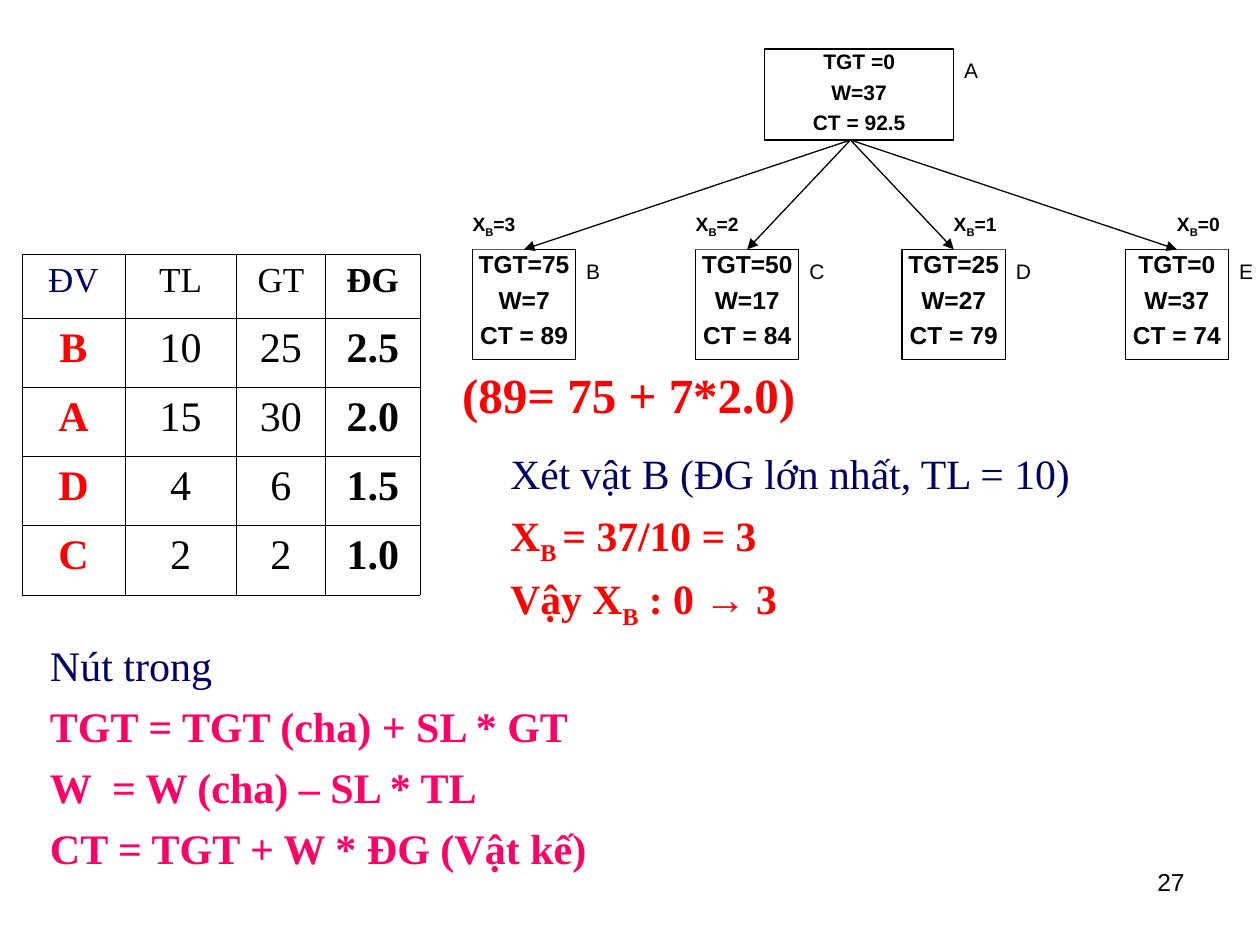
from lxml.etree import SubElement
from pptx import Presentation
from pptx.dml.color import RGBColor
from pptx.enum.shapes import MSO_CONNECTOR, MSO_SHAPE
from pptx.enum.text import MSO_ANCHOR, PP_ALIGN
from pptx.oxml import parse_xml
from pptx.oxml.ns import nsdecls, qn
from pptx.util import Pt

COLORS = {"black": "000000", "white": "FFFFFF", "navy": "000066",
          "red": "FF0000", "pink": "FF0066"}
SANS, SERIF = "Arial", "Times New Roman"

ROOT = ("A", ["TGT =0", "W=37", "CT = 92.5"])
ROOT_BOX = (437, 28, 108, 52)
BRANCH_START = (486, 80)
CHILDREN = [
    ("B", "=3", ["TGT=75", "W=7", "CT = 89"], 270, 0),
    ("C", "=2", ["TGT=50", "W=17", "CT = 84"], 397.5, 0),
    ("D", "=1", ["TGT=25", "W=27", "CT = 79"], 515.5, 29.5),
    ("E", "=0", ["TGT=0", "W=37", "CT = 74"], 643, 29.5),
]
CHILD_TOP, CHILD_W, CHILD_H = 142.5, 59, 63

ITEMS = [
    ["ĐV", "TL", "GT", "ĐG"],
    ["B", "10", "25", "2.5"],
    ["A", "15", "30", "2.0"],
    ["D", "4", "6", "1.5"],
    ["C", "2", "2", "1.0"],
]
COLUMN_WIDTHS = [59, 63.5, 51, 54]
ROW_HEIGHTS = [36.5] + [39.5] * 4

NAVY = {"color": "navy"}
RED = {"color": "red", "bold": True}
RED_SUB = {**RED, "sub": True}
PINK = {"color": "pink", "bold": True}
NOTES = [
    ((516, 492, 168, 37), {"size": 14, "font": SANS, "align": PP_ALIGN.RIGHT},
     [[("27", {})]]),
    ((21.5, 362, 338.5, 148.5), {"size": 24, "font": SERIF, "before": 6},
     [[("Nút trong", NAVY)],
      [("TGT = TGT (cha) + SL * GT", PINK)],
      [("W  = W (cha) – SL * TL", PINK)],
      [("CT = TGT + W * ÐG (Vật kế)", PINK)]]),
    ((284.5, 255.5, 399.5, 118),
     {"size": 23.8, "font": SERIF, "before": 7, "line": 0.9},
     [[("Xét vật B (ĐG lớn nhất, TL = 10)", NAVY)],
      [("X", RED), ("B ", RED_SUB), ("= 37/10 = 3", RED)],
      [("Vậy X", RED), ("B", RED_SUB), (" : 0 ", RED),
       ("→", {**RED, "font": SANS}), (" 3", RED)]]),
    ((257, 205, 399.5, 118), {"size": 28, "font": SERIF},
     [[("(89= 75 + 7*2.0)", RED)]]),
]


def rgb(name):
    return RGBColor.from_string(COLORS[name])


def write(frame, lines, size, font, align=PP_ALIGN.LEFT, before=0, line=None):
    frame.word_wrap = True
    for i, runs in enumerate(lines):
        paragraph = frame.add_paragraph() if i else frame.paragraphs[0]
        paragraph.alignment = align
        if i:
            paragraph.space_before = Pt(before)
        if line:
            paragraph.line_spacing = line
        for text, style in runs:
            run = paragraph.add_run()
            run.text = text
            run.font.size = Pt(size)
            run.font.name = style.get("font", font)
            run.font.bold = style.get("bold", False)
            run.font.color.rgb = rgb(style.get("color", "black"))
            if style.get("sub"):
                run._r.get_or_add_rPr().set("baseline", "-25000")


def add_box(box, lines, size, outlined=False, **layout):
    rect = slide.shapes.add_shape(MSO_SHAPE.RECTANGLE, *map(Pt, box))
    rect.shadow.inherit = False
    rect.fill.solid()
    rect.fill.fore_color.rgb = rgb("white")
    if outlined:
        rect.line.color.rgb = rgb("black")
        rect.line.width = Pt(0.75)
    else:
        rect.line.fill.background()
    frame = rect.text_frame
    frame.margin_left = frame.margin_right = 0
    frame.margin_top = frame.margin_bottom = 0
    frame.vertical_anchor = MSO_ANCHOR.TOP
    write(frame, lines, size, SANS, **layout)
    return rect


def add_node(box, name, values, size, before, label_drop):
    left, top, width, height = box
    lines = [[(value, {"bold": True})] for value in values]
    node = add_box(box, lines, size, True, align=PP_ALIGN.CENTER, before=before)
    add_box((left + width + 6, top + label_drop, 10, 21), [[(name, {})]], 12)
    return node


def add_branch(child, center):
    branch = slide.shapes.add_connector(
        MSO_CONNECTOR.STRAIGHT, *map(Pt, (*BRANCH_START, center, CHILD_TOP)))
    branch.end_connect(child, 0)
    branch.line.color.rgb = rgb("black")
    branch.line.width = Pt(0.75)
    SubElement(branch.line._get_or_add_ln(), qn("a:tailEnd"), type="triangle")
    SubElement(branch._element.spPr, qn("a:effectLst"))


def add_borders(cell):
    properties = cell._tc.get_or_add_tcPr()
    for i, side in enumerate("LRTB"):
        properties.insert(i, parse_xml(
            f'<a:ln{side} {nsdecls("a")} w="{Pt(0.45)}"><a:solidFill>'
            f'<a:srgbClr val="{COLORS["black"]}"/></a:solidFill></a:ln{side}>'))


def item_style(row, column):
    if column == 0:
        return RED if row else NAVY
    return {"bold": column == len(COLUMN_WIDTHS) - 1}


def add_items():
    table = slide.shapes.add_table(
        len(ITEMS), len(COLUMN_WIDTHS), Pt(12.5), Pt(145.5),
        Pt(sum(COLUMN_WIDTHS)), Pt(sum(ROW_HEIGHTS))).table
    table.first_row = table.horz_banding = False
    for column, width in zip(table.columns, COLUMN_WIDTHS):
        column.width = Pt(width)
    for r, (values, height) in enumerate(zip(ITEMS, ROW_HEIGHTS)):
        table.rows[r].height = Pt(height)
        for c, value in enumerate(values):
            cell = table.cell(r, c)
            cell.fill.background()
            add_borders(cell)
            write(cell.text_frame, [[(value, item_style(r, c))]],
                  24 if r else 20, SERIF, PP_ALIGN.CENTER)


presentation = Presentation()
presentation.slide_width, presentation.slide_height = Pt(720), Pt(540)
slide = presentation.slides.add_slide(presentation.slide_layouts[6])

add_node(ROOT_BOX, *ROOT, size=12, before=3, label_drop=5)
for name, count, values, left, label_shift in CHILDREN:
    child = add_node((left, CHILD_TOP, CHILD_W, CHILD_H), name, values,
                     size=14, before=3.5, label_drop=5.5)
    add_branch(child, left + CHILD_W / 2)
    bold = {"bold": True}
    add_box((left + label_shift, CHILD_TOP - 21, CHILD_W / 2, 21),
            [[("X", bold), ("B", {**bold, "sub": True}), (count, bold)]], 11)

add_items()
for box, layout, lines in NOTES:
    note = slide.shapes.add_textbox(*map(Pt, box))
    write(note.text_frame, lines, **layout)

presentation.save("out.pptx")
